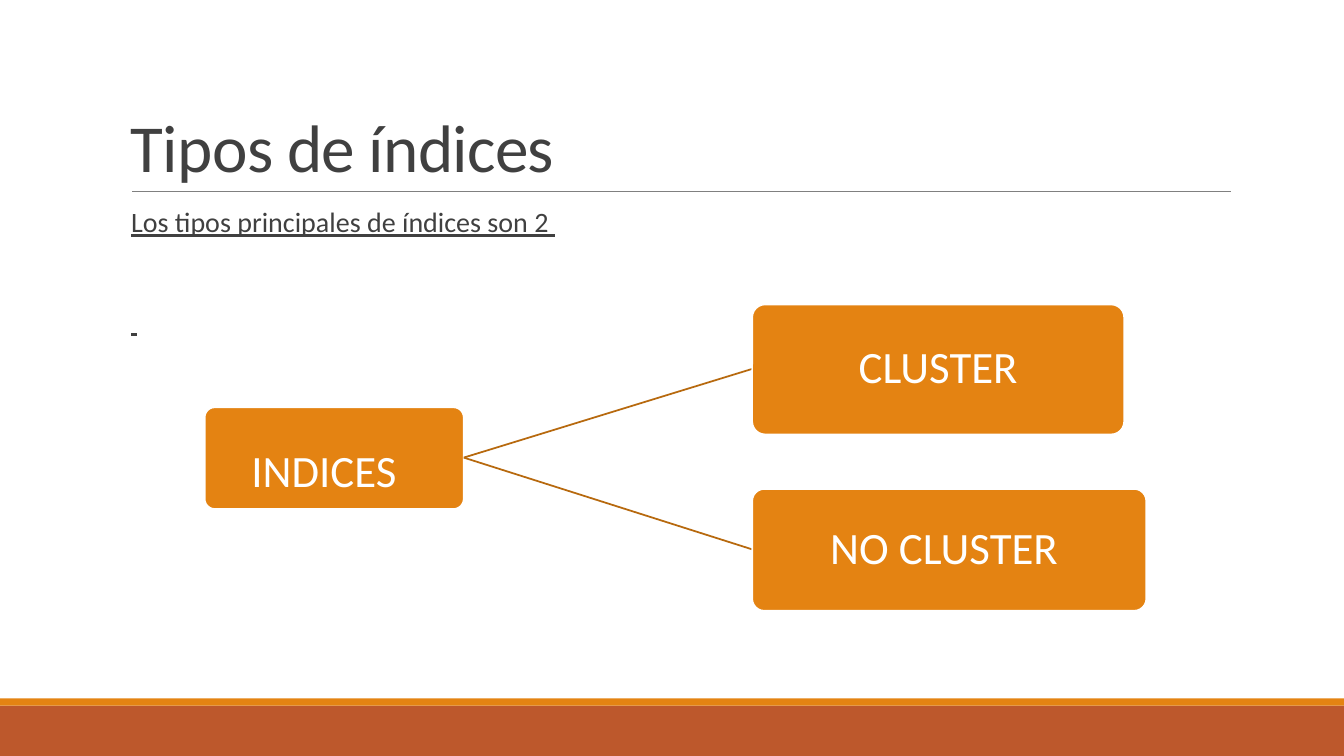
from lxml import etree
from pptx import Presentation
from pptx import util as u
from pptx.dml.color import RGBColor
from pptx.enum import shapes, text
from pptx.oxml.ns import qn

EMU_PER_PX = 9144
FONT = "Calibri"
ORANGE, RUST, BROWN = "E48312", "BD582C", "B7690E"
WHITE, DARK, GRAY = "FFFFFF", "404040", "808080"


def px(length):
    return u.Emu(length * EMU_PER_PX)


def color(value):
    return RGBColor.from_string(value)


def style(span, size, value):
    span.font.name = FONT
    span.font.size = u.Pt(size)
    span.font.color.rgb = color(value)


def set_frame(frame, anchor, side, edge):
    frame.word_wrap = True
    frame.vertical_anchor = anchor
    frame.margin_left = frame.margin_right = px(side)
    frame.margin_top = frame.margin_bottom = px(edge)


def add_shape(page, kind, area, fill, line=None):
    box = page.shapes.add_shape(kind, *map(px, area))
    box.shadow.inherit = False
    box.fill.solid()
    box.fill.fore_color.rgb = color(fill)
    if line:
        box.line.color.rgb = color(line)
        box.line.width = u.Pt(1.25)
    else:
        box.line.fill.background()
    return box


def add_line(page, start, end, value, width):
    line = page.shapes.add_connector(
        shapes.MSO_CONNECTOR.STRAIGHT, *map(px, start + end))
    line.line.color.rgb = color(value)
    line.line.width = u.Pt(width)
    etree.SubElement(line._element.spPr, qn("a:effectLst"))


def add_title(page, words):
    box = page.shapes.add_textbox(*map(px, (120, 31, 1100, 159)))
    set_frame(box.text_frame, text.MSO_ANCHOR.BOTTOM, 10, 5)
    box.text_frame.text = words
    para = box.text_frame.paragraphs[0]
    para.line_spacing = 0.85
    span = para.runs[0]
    style(span, 48, DARK)
    span.font._element.set("spc", "-50")


def add_body(page, lines):
    box = page.shapes.add_textbox(*map(px, (130, 202, 1090, 440)))
    frame = box.text_frame
    set_frame(frame, text.MSO_ANCHOR.TOP, 0, 5)
    frame.text = "\n".join(words for words, gap in lines)
    for para, (words, gap) in zip(frame.paragraphs, lines):
        para.line_spacing = 0.9
        para.space_before = u.Pt(gap)
        para.space_after = u.Pt(2)
        style(para.runs[0], 20, DARK)
        para.runs[0].font.underline = True


def add_node(page, area, spans):
    box = add_shape(page, shapes.MSO_SHAPE.ROUNDED_RECTANGLE, area, ORANGE, WHITE)
    box.adjustments[0] = 0.1
    set_frame(box.text_frame, text.MSO_ANCHOR.MIDDLE, 6, 6)
    para = box.text_frame.paragraphs[0]
    para.alignment = text.PP_ALIGN.CENTER
    para.line_spacing = 0.9
    for words, size in spans:
        span = para.add_run()
        span.text = words
        style(span, size, WHITE)


def main():
    deck = Presentation()
    deck.slide_width, deck.slide_height = px(1333), px(750)
    page = deck.slides.add_slide(deck.slide_layouts[6])

    add_shape(page, shapes.MSO_SHAPE.RECTANGLE, (0, 700, 1333, 50), RUST)
    add_shape(page, shapes.MSO_SHAPE.RECTANGLE, (0, 693, 1333, 7), ORANGE)
    add_line(page, (131, 190), (1221, 190), GRAY, 0.5)
    add_title(page, "Tipos de índices")
    add_body(page, [("Los tipos principales de índices son 2 ", 0), (" ", 47)])

    root = (203, 404, 257, 101)
    branches = [
        ((746, 302, 369, 129), "CLUSTER"),
        ((746, 485, 391, 121), "NO CLUSTER "),
    ]
    fork = (root[0] + root[2], root[1] + root[3] // 2)
    add_node(page, root, [("INDICES", 32), (" ", 64)])
    for area, words in branches:
        left, top, width, height = area
        add_line(page, fork, (left, top + height // 2), BROWN, 1.25)
        add_node(page, area, [(words, 32)])

    deck.save("out.pptx")


if __name__ == "__main__":
    main()
